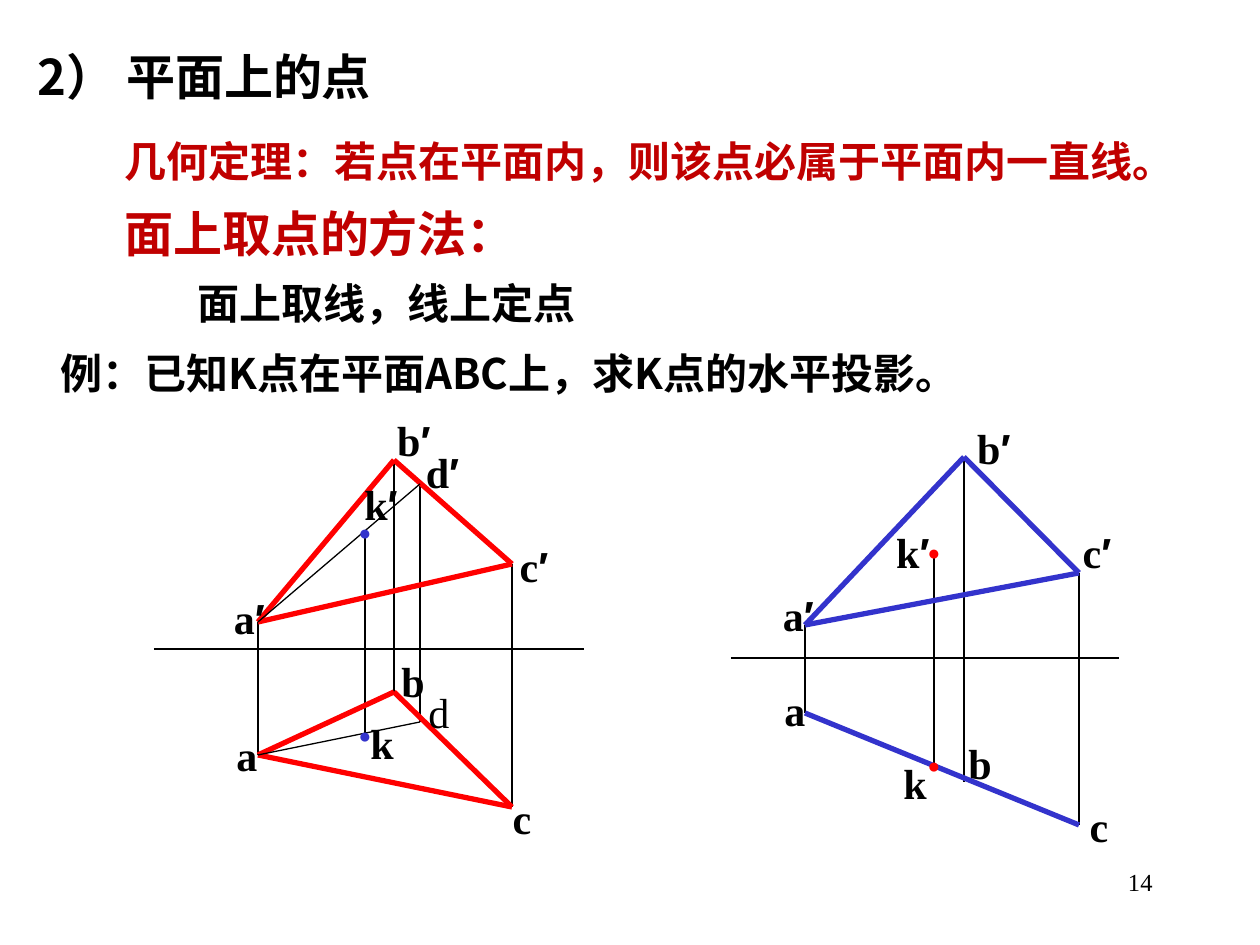
from lxml.etree import SubElement as Sub
from pptx import Presentation
from pptx.dml.color import RGBColor as RGB
from pptx.enum.shapes import MSO_CONNECTOR as Conn
from pptx.enum.text import MSO_ANCHOR as Anchor, MSO_AUTO_SIZE as Auto, PP_ALIGN as Align
from pptx.oxml.ns import qn
from pptx.util import Pt

PX = 7257.14  # EMU in one px, 126 px to the inch
BLACK = RGB(0x00, 0x00, 0x00)
CRIMSON = RGB(0xC0, 0x00, 0x00)
RED = RGB(0xFF, 0x00, 0x00)
BLUE = RGB(0x33, 0x33, 0xCC)
SANS, SERIF, ARIAL = "Noto Sans CJK SC", "Times New Roman", "Arial"
PRIME = "′"
WIDTH = {"a": 45, "b": 48, "c": 44, "d": 45, "k": 48}  # label boxes
DOT = 38


def emu(*vals):
    return [round(v * PX) for v in vals]


def style(run, size, face, color=BLACK, bold=True, east=None):
    for key, val in {"size": Pt(size), "name": face, "bold": bold}.items():
        setattr(run.font, key, val)
    run.font.color.rgb = color
    Sub(run.font._element, qn("a:ea")).set("typeface", east or face)


def text(slide, box, runs, align=Align.LEFT, wrap=True,
         anchor=Anchor.MIDDLE, auto=Auto.SHAPE_TO_FIT_TEXT):
    """Put one paragraph in a box; runs are (words, format dict) pairs."""
    frame = slide.shapes.add_textbox(*emu(*box)).text_frame
    form = {"word_wrap": wrap, "vertical_anchor": anchor, "auto_size": auto}
    for key, val in form.items():
        setattr(frame, key, val)
    par = frame.paragraphs[0]
    par.alignment = align
    for words, fmt in runs:
        run = par.add_run()
        run.text = words
        style(run, **fmt)


def line(slide, start, end, color=BLACK, width=0.75):
    edge = slide.shapes.add_connector(Conn.STRAIGHT, *emu(*start, *end))
    edge.line.color.rgb = color
    edge.line.width = Pt(width)
    Sub(edge._element.spPr, qn("a:effectLst"))


def label(slide, left, top, name, bold):
    runs = [(name[0], {"size": 24, "face": SERIF, "bold": bold})]
    if name.endswith(PRIME):
        runs.append((PRIME, {"size": 24, "face": ARIAL}))
    wide = WIDTH[name[0]] + 14 * (len(name) - 1)
    text(slide, (left, top, wide, 63), runs, Align.CENTER, wrap=False)


def dot(slide, mid, color):
    box = (mid[0] - DOT // 2, mid[1] - DOT // 2, DOT, DOT)
    fmt = {"size": 12, "face": SERIF, "color": color}
    text(slide, box, [("●", fmt)], Align.CENTER, wrap=False)


def views(slide, box, fig):
    """Draw the two projections of a plane, one above the axis, one below."""
    left, top, wide = box
    spots = {n: (left + x, top + y) for n, (x, y) in fig["spots"].items()}

    # Axis and projection lines
    level = top + fig["axis"]
    line(slide, (left, level), (left + wide, level))
    for name in spots:
        if name + PRIME in spots:
            line(slide, spots[name + PRIME], spots[name])

    # Sides of the plane and helper lines
    for one, two in fig["sides"]:
        line(slide, spots[one], spots[two], fig["color"], 3)
    for one, two in fig["aids"]:
        line(slide, spots[one], spots[two])

    # Point K and the names
    for name in ("k" + PRIME, "k"):
        dot(slide, spots[name], fig["mark"])
    for name, (x, y) in fig["names"].items():
        label(slide, left + x, top + y, name, name not in fig["plain"])


def heads(slide, box):
    """Write the title, theorem, method and example."""
    left, top = box
    rows = [
        ((0, 0, 481, 72), "2） 平面上的点", 28, SANS, BLACK, Anchor.MIDDLE),
        ((87, 89, 1089, 63), "几何定理：若点在平面内，则该点必属于平面内一直线。",
         24, SERIF, CRIMSON, Anchor.TOP),
        ((87, 157, 430, 72), "面上取点的方法：", 28, SANS, CRIMSON, Anchor.MIDDLE),
        ((160, 231, 498, 63), "面上取线，线上定点", 24, SERIF, BLACK, Anchor.MIDDLE),
        ((23, 301, 981, 63), "例：已知K点在平面ABC上，求K点的水平投影。",
         24, SANS, BLACK, Anchor.MIDDLE),
    ]
    for (x, y, wide, high), words, size, face, color, anchor in rows:
        fmt = {"size": size, "face": face, "color": color, "east": SANS}
        text(slide, (left + x, top + y, wide, high), [(words, fmt)], anchor=anchor)


UPPER = [("a′", "c′"), ("a′", "b′"), ("b′", "c′")]
SOLVED = {
    "color": RED, "mark": BLUE, "axis": 241, "plain": "d",
    "spots": {"a′": (104, 214), "b′": (240, 52), "c′": (358, 156),
              "d′": (266, 76), "k′": (211, 124), "a": (104, 347),
              "b": (240, 284), "c": (358, 399), "d": (266, 314), "k": (211, 327)},
    "sides": UPPER + [("a", "b"), ("b", "c"), ("c", "a")],
    "aids": [("a", "d"), ("a′", "d′")],
    "names": {"a": (70, 315), "b": (235, 241), "c": (346, 378), "a′": (66, 178),
              "b′": (229, 0), "k′": (196, 64), "c′": (351, 126),
              "d′": (259, 32), "k": (204, 303), "d": (262, 272)},
}
EDGEWISE = {
    "color": BLUE, "mark": RED, "axis": 242, "plain": "",
    "spots": {"a′": (74, 209), "b′": (233, 41), "c′": (348, 157),
              "k′": (203, 136), "a": (74, 297), "b": (233, 366),
              "c": (348, 409), "k": (203, 349)},
    "sides": UPPER + [("a", "c")],
    "aids": [],
    "names": {"a": (41, 262), "b": (225, 315), "c": (346, 378), "a′": (38, 167),
              "b′": (232, 0), "k′": (151, 104), "c′": (337, 104), "k": (160, 335)},
}


def main():
    deck = Presentation()
    deck.slide_width, deck.slide_height = emu(1260, 945)
    slide = deck.slides.add_slide(deck.slide_layouts[6])
    heads(slide, (25, 40))
    views(slide, (154, 408, 430), SOLVED)
    views(slide, (731, 416, 388), EDGEWISE)

    # Page number
    fmt = {"size": 14, "face": SERIF, "bold": False}
    text(slide, (903, 861, 262, 63), [("14", fmt)], Align.RIGHT,
         anchor=Anchor.TOP, auto=Auto.NONE)
    deck.save("out.pptx")


if __name__ == "__main__":
    main()
